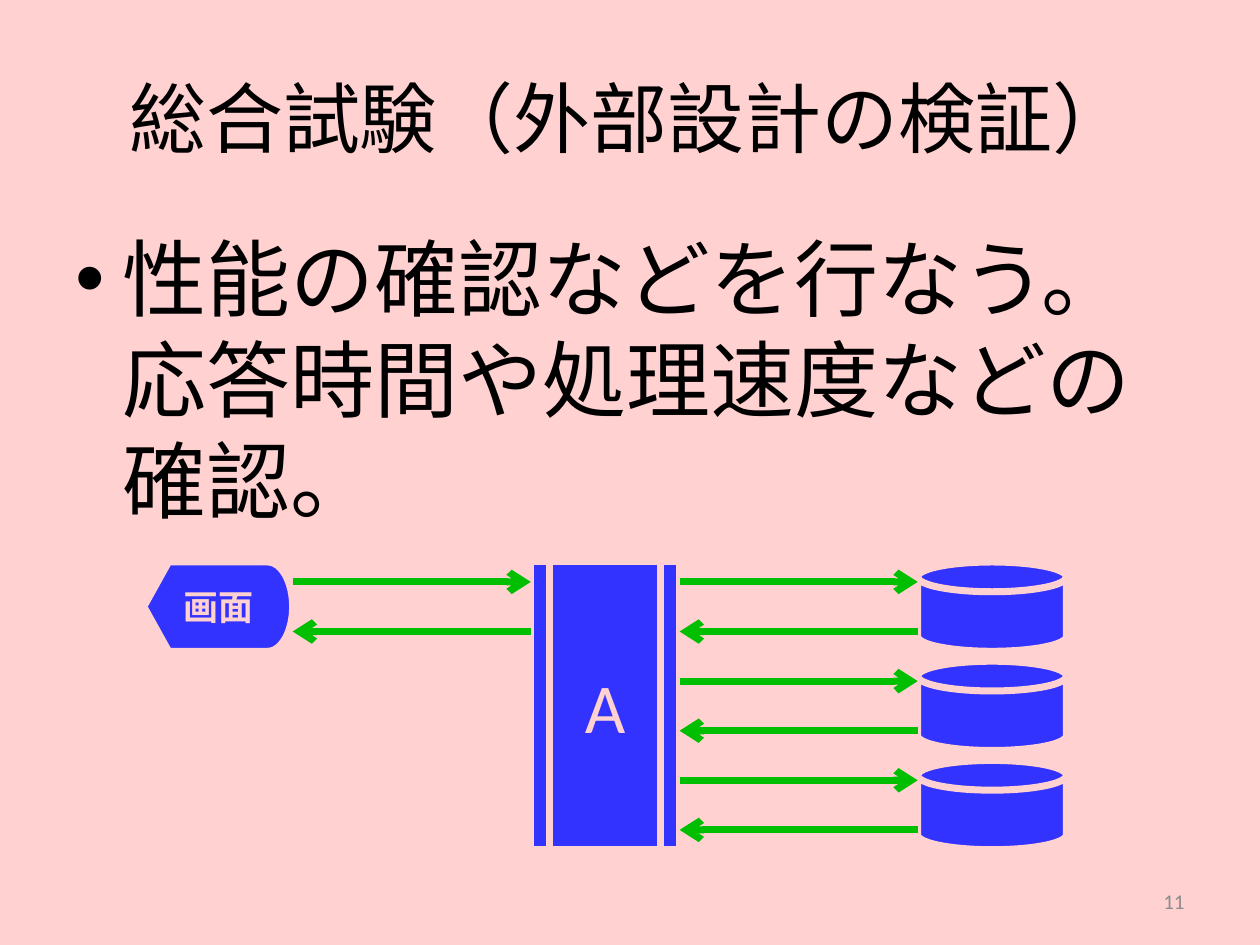
from lxml.etree import SubElement
from pptx import Presentation
from pptx.dml.color import RGBColor
from pptx.enum.shapes import MSO_CONNECTOR, MSO_SHAPE
from pptx.enum.text import MSO_ANCHOR, PP_ALIGN
from pptx.oxml.ns import qn
from pptx.util import Cm, Pt

PINK = RGBColor(0xFF, 0xD1, 0xD1)
BLUE = RGBColor(0x33, 0x33, 0xFF)
GREEN = RGBColor(0x00, 0xBF, 0x00)
BLACK = RGBColor(0x00, 0x00, 0x00)
GREY = RGBColor(0x8C, 0x8C, 0x8C)


def write(shape, text, size, color, align, anchor=MSO_ANCHOR.MIDDLE, bold=False):
    frame = shape.text_frame
    frame.word_wrap = True
    frame.vertical_anchor = anchor
    para = frame.paragraphs[0]
    para.alignment = align
    run = para.add_run()
    run.text = text
    look = {"name": "Calibri", "size": Pt(size), "bold": bold}
    for key, value in look.items():
        setattr(run.font, key, value)
    run.font.color.rgb = color
    return para


def place(shape, box):
    for key, value in zip(("left", "top", "width", "height"), box):
        setattr(shape, key, Cm(value))


def add_head(slide, box):
    title = slide.shapes.title
    place(title, box)
    write(title, "総合試験（外部設計の検証）", 44, BLACK, PP_ALIGN.CENTER)


def add_body(slide, box):
    body = slide.shapes.add_textbox(*map(Cm, box))
    text = "性能の確認などを行なう。応答時間や処理速度などの確認。"
    para = write(body, text, 48, BLACK, PP_ALIGN.LEFT, MSO_ANCHOR.TOP)
    props = para._p.get_or_add_pPr()
    for key, value in {"marL": Cm(0.95), "indent": Cm(-0.95)}.items():
        props.set(key, str(int(value)))
    space = SubElement(props, qn("a:spcBef"))
    SubElement(space, qn("a:spcPct"), val="20000")
    SubElement(props, qn("a:buFont"), typeface="Arial")
    SubElement(props, qn("a:buChar"), char="•")


def add_page(slide, box):
    page = slide.shapes.add_textbox(*map(Cm, box))
    write(page, "11", 12, GREY, PP_ALIGN.RIGHT)


def add_node(slide, kind, box):
    node = slide.shapes.add_shape(kind, *map(Cm, box))
    node.shadow.inherit = False
    node.fill.solid()
    node.fill.fore_color.rgb = BLUE
    node.line.color.rgb = PINK
    node.line.width = Pt(4)
    return node


def add_arrow(slide, start, end, y):
    arrow = slide.shapes.add_connector(
        MSO_CONNECTOR.STRAIGHT, Cm(start), Cm(y), Cm(end), Cm(y))
    arrow.line.color.rgb = GREEN
    arrow.line.width = Pt(4)
    SubElement(arrow.line._get_or_add_ln(), qn("a:tailEnd"), type="arrow")
    SubElement(arrow._element.spPr, qn("a:effectLst"))


def add_pair(slide, left, right, top):
    add_arrow(slide, left, right, top + 0.4)
    add_arrow(slide, right, left, top + 1.4)


def add_flow(slide, box):
    left, top, width, height = box
    wide, tall, rows = 3, 1.8, 3
    step = (width - wide) / 2
    pitch = (height - tall) / (rows - 1)
    screen, core, store = (left + i * step for i in range(3))

    node = add_node(slide, MSO_SHAPE.FLOWCHART_PREDEFINED_PROCESS,
                    (core, top, wide, height))
    write(node, "A", 40, PINK, PP_ALIGN.CENTER)
    node = add_node(slide, MSO_SHAPE.FLOWCHART_DISPLAY, (screen, top, wide, tall))
    write(node, "画面", 20, PINK, PP_ALIGN.CENTER, bold=True)

    add_pair(slide, screen + wide, core, top)
    for row in range(rows):
        y = top + row * pitch
        add_node(slide, MSO_SHAPE.FLOWCHART_MAGNETIC_DISK, (store, y, wide, tall))
        add_pair(slide, core + wide, store, y)


deck = Presentation()
deck.slide_width = Cm(25.4)
deck.slide_height = Cm(19.05)
slide = deck.slides.add_slide(deck.slide_layouts[5])
slide.background.fill.solid()
slide.background.fill.fore_color.rgb = PINK
add_head(slide, (1.27, 0.76, 22.86, 3.18))
add_body(slide, (1.27, 4.45, 22.86, 6.48))
add_page(slide, (18.2, 17.66, 5.93, 1.01))
add_flow(slide, (2.9, 11.33, 18.6, 5.8))
deck.save("out.pptx")
